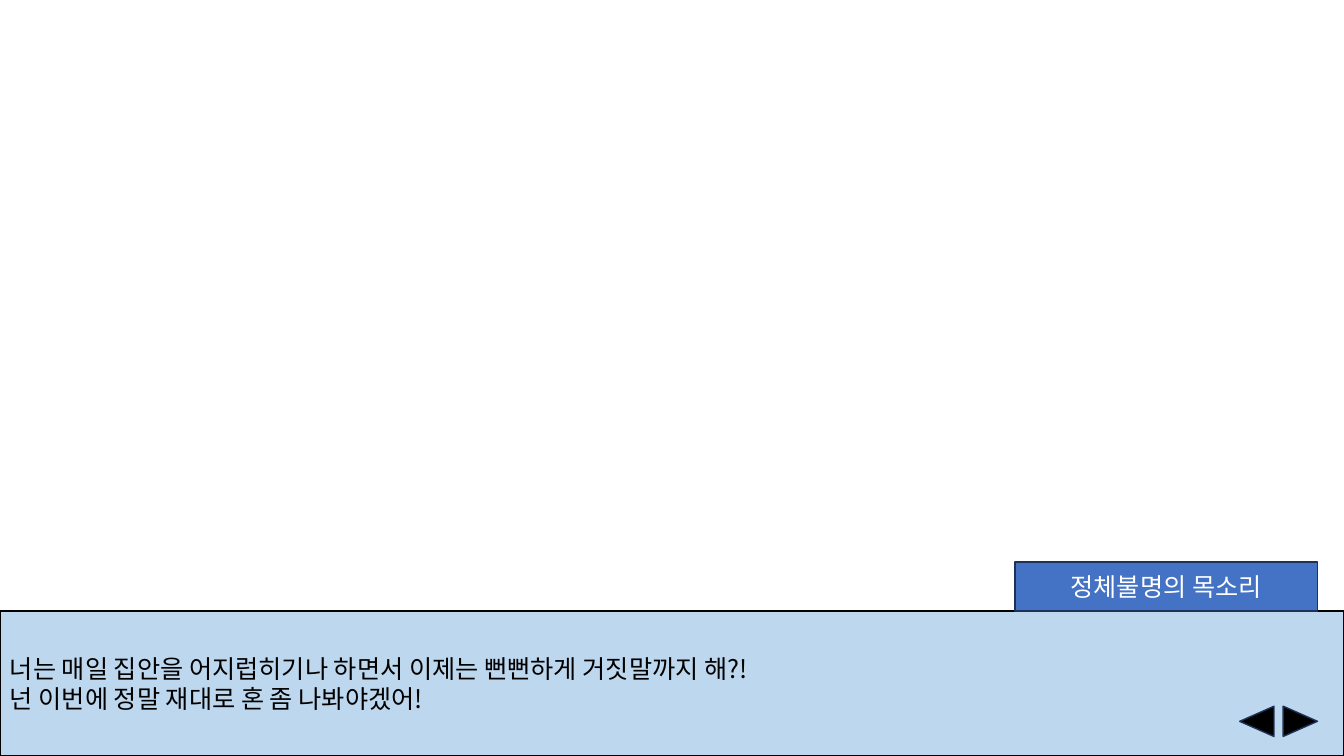
from dataclasses import dataclass

from lxml import etree
from pptx import Presentation
from pptx.dml.color import RGBColor
from pptx.enum import shapes, text
from pptx.oxml.ns import qn
from pptx.util import Pt

BLACK = RGBColor(0x00, 0x00, 0x00)
WHITE = RGBColor(0xFF, 0xFF, 0xFF)
NAVY = RGBColor(0x1E, 0x32, 0x56)
BLUE = RGBColor(0x44, 0x72, 0xC4)
PALE_BLUE = RGBColor(0xBD, 0xD7, 0xEE)
FONT = "Noto Sans CJK KR"
RECT = shapes.MSO_SHAPE.RECTANGLE
TRIANGLE = shapes.MSO_SHAPE.ISOSCELES_TRIANGLE
LEFT, CENTER = text.PP_ALIGN.LEFT, text.PP_ALIGN.CENTER


@dataclass
class Block:
    """A filled shape; lengths in points."""
    kind: shapes.MSO_SHAPE
    left: float
    top: float
    width: float
    height: float
    fill: RGBColor
    line: RGBColor = NAVY
    rotation: float = 0
    lines: tuple[str, ...] = ()
    color: RGBColor = WHITE
    align: text.PP_ALIGN = CENTER


def write_lines(tf, block: Block) -> None:
    tf.word_wrap = True
    tf.vertical_anchor = text.MSO_ANCHOR.MIDDLE
    font_format = {"name": FONT, "size": Pt(18)}
    for i, line in enumerate(block.lines):
        p = tf.add_paragraph() if i else tf.paragraphs[0]
        p.alignment = block.align
        r = p.add_run()
        r.text = line
        for name, value in font_format.items():
            setattr(r.font, name, value)
        r.font.color.rgb = block.color
        # Hangul takes the East Asian typeface
        etree.SubElement(r.font._element, qn("a:ea")).set("typeface", FONT)


def draw_block(s, block: Block) -> None:
    box = (block.left, block.top, block.width, block.height)
    sp = s.shapes.add_shape(block.kind, *map(Pt, box))
    sp.shadow.inherit = False
    sp.rotation = block.rotation
    sp.fill.solid()
    sp.fill.fore_color.rgb = block.fill
    sp.line.color.rgb = block.line
    sp.line.width = Pt(1)
    if block.lines:
        write_lines(sp.text_frame, block)


def main() -> None:
    prs = Presentation()
    prs.slide_width, prs.slide_height = Pt(960), Pt(540)
    s = prs.slides.add_slide(prs.slide_layouts[6])

    # Dialogue panel
    dialogue = (
        "너는 매일 집안을 어지럽히기나 하면서 이제는 뻔뻔하게 거짓말까지 해?!",
        "넌 이번에 정말 재대로 혼 좀 나봐야겠어!",
    )
    draw_block(s, Block(RECT, 0, 436.5, 960, 103.5, PALE_BLUE, BLACK,
                        lines=dialogue, color=BLACK, align=LEFT))

    # Next and back arrows
    for left, rotation in ((918, 90), (887, 270)):
        draw_block(s, Block(TRIANGLE, left, 503, 21.6, 24.5, BLACK,
                            rotation=rotation))

    # Speaker name tag
    draw_block(s, Block(RECT, 725, 401.5, 216, 35, BLUE,
                        lines=("정체불명의 목소리",)))

    prs.save("out.pptx")


if __name__ == "__main__":
    main()
